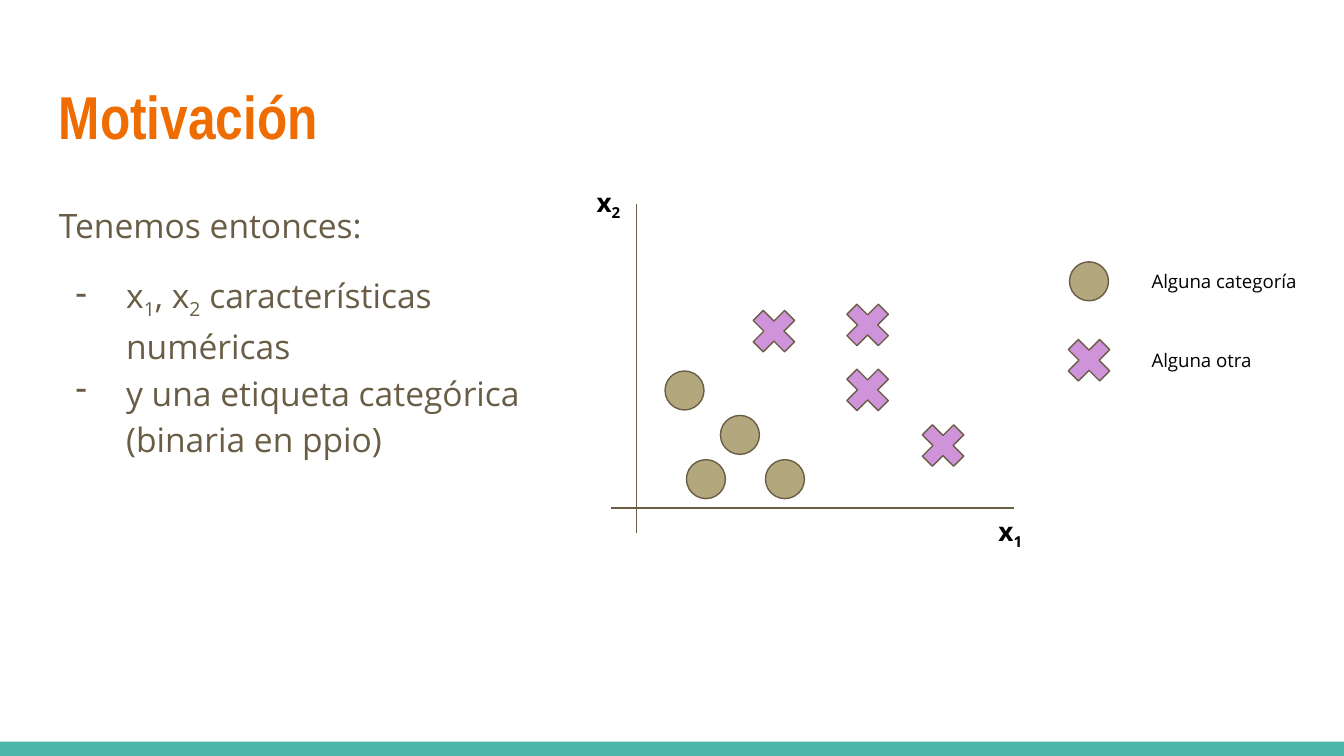
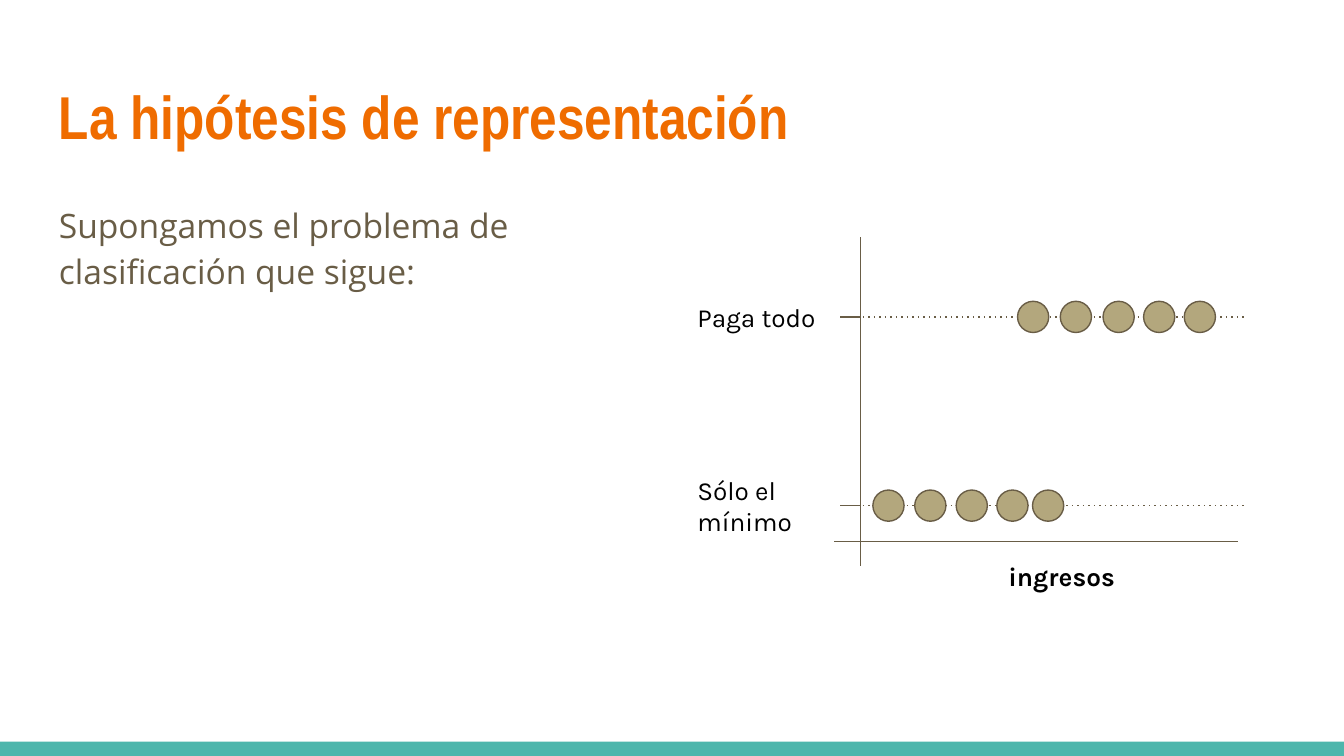
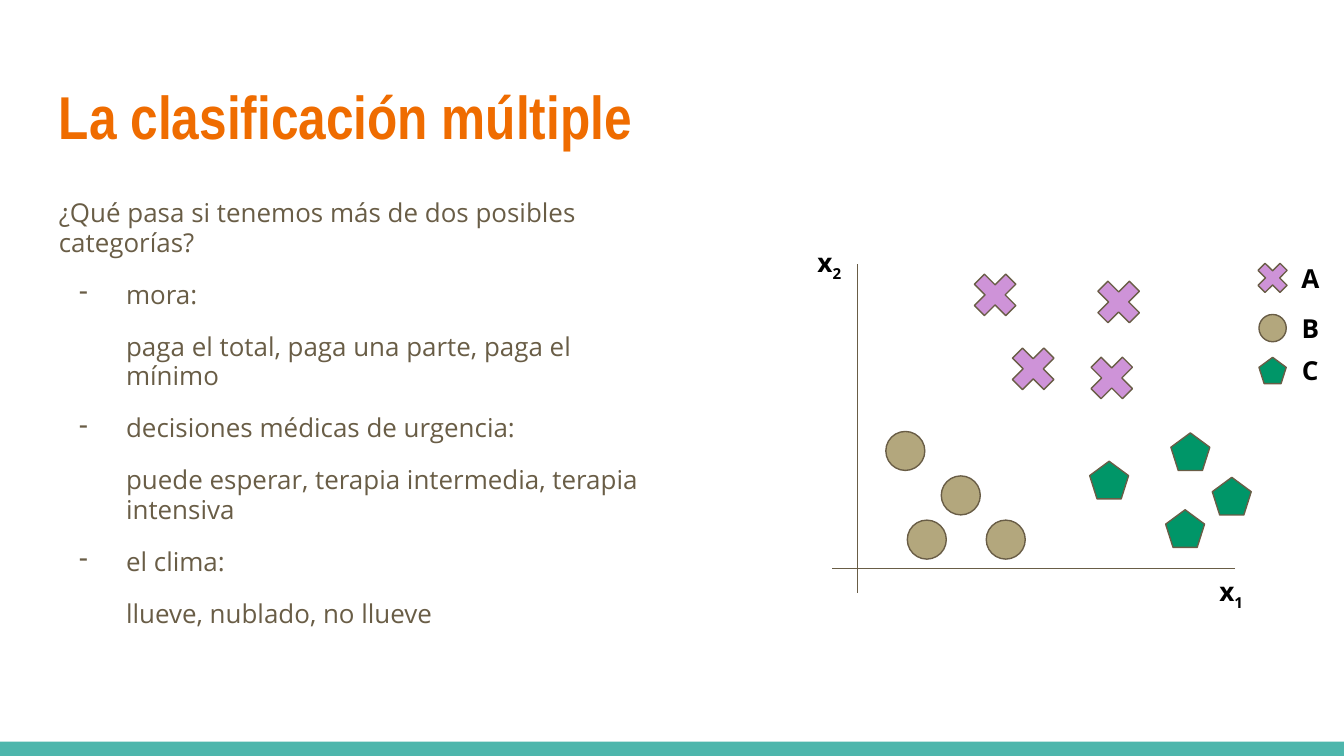
from lxml import etree
from pptx import Presentation
from pptx.dml.color import RGBColor
from pptx.enum import shapes, text
from pptx.oxml import ns
from pptx.util import Pt

COLORS = {"title": "EF6C00", "body": "695D46", "band": "4DB6AC", "ink": "000000",
          "sand": "B3A77D", "lilac": "CE93D8", "green": "009668"}
SHAPE = shapes.MSO_SHAPE
MARKS = {  # form, fill, width, height
    "disc": (SHAPE.OVAL, "sand", 20.9, 20.9),
    "cross": (SHAPE.MATH_MULTIPLY, "lilac", 32.4, 32.4),
    "penta": (SHAPE.REGULAR_PENTAGON, "green", 20.9, 20.2),
}
MID, TOP = text.MSO_ANCHOR.MIDDLE, text.MSO_ANCHOR.TOP


def color(name):
    return RGBColor.from_string(COLORS[name])


def write(frame, words, font="Open Sans", size=14, ink="ink", bold=False, center=False,
          lead=None, before=0, left=0, hang=0):
    """Add a paragraph; "_" lowers the next character, hang gives a dash bullet."""
    para = frame.paragraphs[0]
    if para.runs:
        para = frame.add_paragraph()
    para.alignment = text.PP_ALIGN.CENTER if center else text.PP_ALIGN.LEFT
    para.space_before = Pt(before)
    if lead:
        para.line_spacing = lead
    props = para._p.get_or_add_pPr()
    props.set("marL", str(Pt(left)))
    props.set("indent", str(-Pt(hang)))
    if hang:
        tint = etree.SubElement(props, ns.qn("a:buClr"))
        etree.SubElement(tint, ns.qn("a:srgbClr"), val=COLORS[ink])
        etree.SubElement(props, ns.qn("a:buChar"), char="-")

    first, *rest = words.split("_")
    parts = [(first, False)]
    for part in rest:
        parts += [(part[0], True), (part[1:], False)]
    for part, low in parts:
        if not part:
            continue
        run = para.add_run()
        run.text = part
        run.font.name, run.font.size, run.font.bold = font, Pt(size), bold
        run.font.color.rgb = color(ink)
        if low:
            run._r.get_or_add_rPr().set("baseline", "-25000")


class Deck:
    def __init__(self):
        self.file = Presentation()
        self.file.slide_width, self.file.slide_height = Pt(720), Pt(405)
        self.slide = None

    def page(self, title):
        self.slide = self.file.slides.add_slide(self.file.slide_layouts[6])
        self.shape(SHAPE.RECTANGLE, "band", 0, 397.4, 720, 7.6)
        write(self.frame(24.5, 35.3, 671, 55.4), title, font="Arial Narrow",
              size=32.4, ink="title", bold=True)

    def shape(self, form, fill, x, y, w, h, edge=None):
        item = self.slide.shapes.add_shape(form, Pt(x), Pt(y), Pt(w), Pt(h))
        item.shadow.inherit = False
        item.fill.solid()
        item.fill.fore_color.rgb = color(fill)
        if edge:
            item.line.color.rgb = color(edge)
            item.line.width = Pt(0.75)
        else:
            item.line.fill.background()

    def marks(self, kind, spots, scale=1):
        """Draw one kind of mark centred on each spot."""
        form, fill, w, h = MARKS[kind]
        w, h = w * scale, h * scale
        for x, y in spots:
            self.shape(form, fill, x - w / 2, y - h / 2, w, h, edge="body")

    def frame(self, x, y, w, h, anchor=TOP):
        box = self.slide.shapes.add_textbox(Pt(x), Pt(y), Pt(w), Pt(h)).text_frame
        box.word_wrap = True
        box.vertical_anchor = anchor
        box.margin_left = box.margin_right = box.margin_top = box.margin_bottom = Pt(7.2)
        return box

    def body(self, width, paras, **style):
        box = self.frame(24.5, 99.4, width, 260)
        for words, extra in paras:
            write(box, words, ink="body", **style, **extra)

    def tag(self, words, x, y, w=28.8, **style):
        """Put a bold label centred on a point."""
        box = self.frame(x - w / 2, y - 10.45, w, 20.9, MID)
        write(box, words, bold=True, center=True, **style)

    def line(self, x1, y1, x2, y2, dots=False):
        item = self.slide.shapes.add_connector(
            shapes.MSO_CONNECTOR.STRAIGHT, Pt(x1), Pt(y1), Pt(x2), Pt(y2))
        item.line.color.rgb = color("body")
        item.line.width = Pt(0.75)
        if dots:
            etree.SubElement(item.line._get_or_add_ln(), ns.qn("a:prstDash"), val="dot")
        etree.SubElement(item._element.spPr, ns.qn("a:effectLst"))

    def axes(self, x, y):
        self.line(x, y - 162.9, x, y + 13.1)
        self.line(x + 202.3, y, x - 13.9, y)

    def plot(self, x, y):
        """Draw named axes from an origin, with the shared group of discs."""
        self.axes(x, y)
        self.tag("x_1", x + 200.2, y + 13.3)
        self.tag("x_2", x - 15.1, y - 163)
        spots = [(25.6, 63), (55.3, 39.2), (37.1, 15.5), (79.4, 15.5)]
        self.marks("disc", [(x + dx, y - dy) for dx, dy in spots])


def motive(deck):
    deck.page("Motivación")
    deck.plot(341.1, 272.2)
    deck.marks("cross", [(414.6, 177.4), (464.8, 174.1), (464.8, 208.9), (505.2, 238.7)])
    for kind, words, y in [("disc", "Alguna categoría", 150.7), ("cross", "Alguna otra", 193)]:
        deck.marks(kind, [(583.4, y)])
        write(deck.frame(609.8, y - 10.45, 104.4, 20.9, MID), words, size=10)
    item = {"left": 36, "hang": 27}
    deck.body(291.6, [
        ("Tenemos entonces:", {}),
        ("x_1, x_2 características numéricas", {"before": 12, **item}),
        ("y una etiqueta categórica (binaria en ppio)", item),
    ], size=18, lead=1.15)


def binary(deck):
    deck.page("La hipótesis de representación")
    deck.body(335.5, [("Supongamos el problema de clasificación que sigue:", {})],
              size=18, lead=1.15)
    deck.axes(460.9, 290.1)
    deck.tag("ingresos", 568.8, 308.5, w=152.6, font="Karla")
    rows = [("Paga todo", 154.1, 31.7, 169.8, [553.5, 576.4, 599.3, 621, 642.8]),
            ("Sólo el mínimo", 247, 48.2, 270.9, [476, 498.4, 520.6, 542.4, 561.5])]
    for words, top, tall, y, spots in rows:
        deck.line(450, y, 461.5, y)
        deck.line(462.2, y, 668.2, y, dots=True)
        write(deck.frame(366.5, top, 83.5, tall), words, font="Karla")
        deck.marks("disc", [(x, y) for x in spots], scale=0.8)


def multi(deck):
    deck.page("La clasificación múltiple")
    paras = [("¿Qué pasa si tenemos más de dos posibles categorías?", {})]
    for head, note in [
        ("mora:", "paga el total, paga una parte, paga el mínimo"),
        ("decisiones médicas de urgencia:",
         "puede esperar, terapia intermedia, terapia intensiva"),
        ("el clima:", "llueve, nublado, no llueve"),
    ]:
        paras += [(head, {"before": 12, "left": 36, "hang": 25.2}),
                  (note, {"before": 12, "left": 36})]
    deck.body(335.5, paras, size=13.9, lead=0.95)
    deck.plot(459.4, 304.6)
    deck.marks("cross", [(533.1, 158), (599.3, 161.8), (553.5, 197.6), (595.6, 202.5)])
    deck.marks("penta", [(594.2, 257.2), (634.9, 283.2), (637.7, 242), (659.9, 265.8)])
    for kind, words, y in [("cross", "A", 148.9), ("disc", "B", 175.8), ("penta", "C", 198.5)]:
        deck.marks(kind, [(681.8, y)], scale=0.7)
        deck.tag(words, 702, y)


def main():
    deck = Deck()
    for build in (motive, binary, multi):
        build(deck)
    deck.file.save("out.pptx")


if __name__ == "__main__":
    main()
